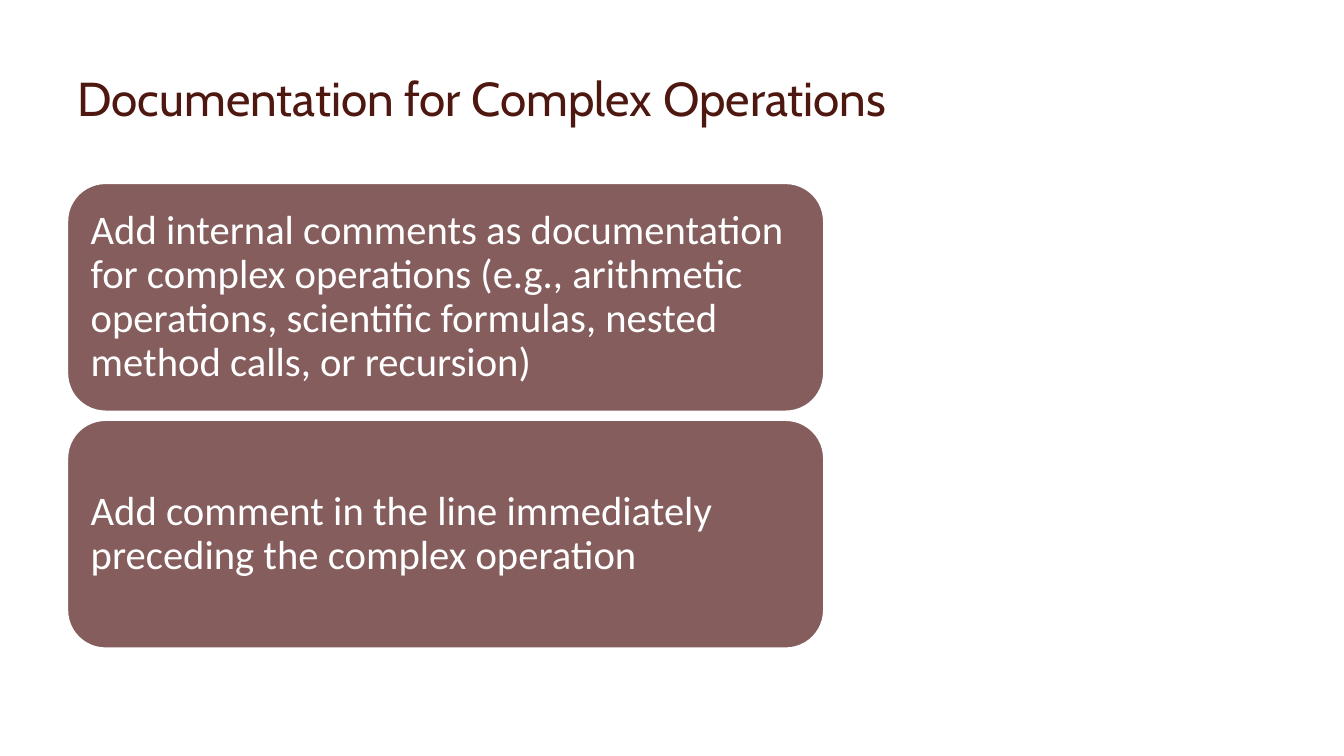
from pptx import Presentation
from pptx.dml.color import RGBColor
from pptx.enum.shapes import MSO_SHAPE
from pptx.enum.text import MSO_ANCHOR, PP_ALIGN
from pptx.util import Inches, Pt

MARGIN = 0.67
CARD_TOP, CARD_WIDTH, CARD_HEIGHT, CARD_PITCH = 1.82, 7.5, 2.26, 2.35
TITLE = "Documentation for Complex Operations"
GUIDELINES = [
    "Add internal comments as documentation for complex operations "
    "(e.g., arithmetic operations, scientific formulas, nested method calls, or recursion)",
    "Add comment in the line immediately preceding the complex operation",
]


def color(value):
    """Return the colour for a hex string."""
    return RGBColor.from_string(value)


def write(frame, text, font_name, size, text_color):
    """Fill a text frame with one left-aligned, vertically centred paragraph."""
    frame.word_wrap = True
    frame.vertical_anchor = MSO_ANCHOR.MIDDLE
    frame.text = text
    para = frame.paragraphs[0]
    para.alignment = PP_ALIGN.LEFT
    para.line_spacing = 0.9
    para.font.name = font_name
    para.font.size = Pt(size)
    para.font.color.rgb = color(text_color)


def add_title(page, text):
    """Place and format the title placeholder."""
    title = page.shapes.title
    title.left, title.top = Inches(MARGIN), Inches(0.5)
    title.width, title.height = Inches(12), Inches(1)
    write(title.text_frame, text, "Cabin", 34, "4E1710")


def add_card(page, row, text):
    """Add a rounded card with its guideline at the given row."""
    card = page.shapes.add_shape(
        MSO_SHAPE.ROUNDED_RECTANGLE,
        Inches(MARGIN), Inches(CARD_TOP + row * CARD_PITCH),
        Inches(CARD_WIDTH), Inches(CARD_HEIGHT),
    )
    card.shadow.inherit = False
    card.fill.solid()
    card.fill.fore_color.rgb = color("855D5D")
    card.line.color.rgb = color("FFFFFF")
    card.line.width = Pt(1)
    frame = card.text_frame
    frame.margin_left = frame.margin_right = Inches(0.12)
    frame.margin_top = frame.margin_bottom = Inches(0.12)
    write(frame, text, "Calibri", 29, "FFFFFF")


def main():
    """Build the slide and save the deck."""
    deck = Presentation()
    deck.slide_width, deck.slide_height = Inches(13.33), Inches(7.5)
    page = deck.slides.add_slide(deck.slide_layouts[5])
    add_title(page, TITLE)
    for row, guideline in enumerate(GUIDELINES):
        add_card(page, row, guideline)
    deck.save("out.pptx")


if __name__ == "__main__":
    main()
